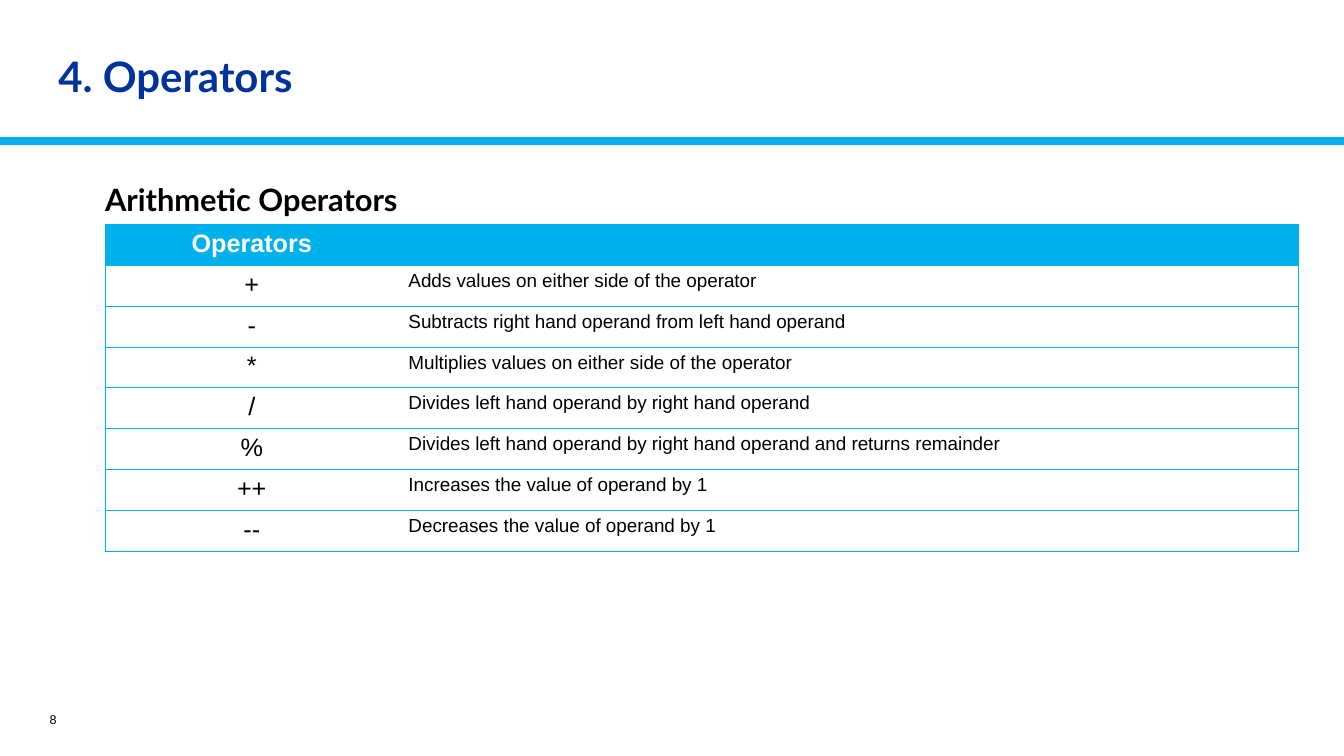
from lxml.etree import SubElement
from pptx import Presentation
from pptx.dml.color import RGBColor
from pptx.enum.shapes import MSO_CONNECTOR
from pptx.enum.text import MSO_ANCHOR, PP_ALIGN
from pptx.oxml import parse_xml
from pptx.oxml.ns import nsdecls, qn
from pptx.util import Cm, Pt

BLUE, NAVY, BLACK, WHITE = "00B0EA", "003399", "000000", "FFFFFF"
ROWS = [
    ("Operators", ""),
    ("+", "Adds values on either side of the operator"),
    ("-", "Subtracts right hand operand from left hand operand"),
    ("*", "Multiplies values on either side of the operator"),
    ("/", "Divides left hand operand by right hand operand"),
    ("%", "Divides left hand operand by right hand operand and returns remainder"),
    ("++", "Increases the value of operand by 1"),
    ("--", "Decreases the value of operand by 1"),
]


def color(code):
    """Turn a hex string into a colour."""
    return RGBColor.from_string(code)


def style(para, size, face, code, bold=False, align=PP_ALIGN.LEFT):
    """Format a paragraph and its runs."""
    para.alignment = align
    for run in para.runs:
        font = run.font
        font.size, font.name, font.bold = Pt(size), face, bold
        font.color.rgb = color(code)


def label(slide, box, text, anchor, *look):
    """Place one line of text in a box and return its paragraph."""
    frame = slide.shapes.add_textbox(*map(Cm, box)).text_frame
    frame.word_wrap = True
    frame.vertical_anchor = anchor
    frame.text = text
    para = frame.paragraphs[0]
    style(para, *look)
    return para


def header(slide, box):
    """Draw the title and the rule along the foot of the box."""
    left, top, width, height = box
    place = (left + 1.22, top + 0.93, 22.91, 2.11)
    para = label(slide, place, "4. Operators", MSO_ANCHOR.MIDDLE, 30, "Lato", NAVY, True)
    para.line_spacing = 0.9
    foot = Cm(top + height)
    rule = slide.shapes.add_connector(
        MSO_CONNECTOR.STRAIGHT, Cm(left), foot, Cm(left + width), foot)
    rule.line.color.rgb = color(BLUE)
    rule.line.width = Pt(6)
    SubElement(rule._element.spPr, qn("a:effectLst"))


def border(cell, sides):
    """Draw blue borders on the given sides and clear the others."""
    props = cell._tc.get_or_add_tcPr()
    for spot, side in enumerate("LRTB"):
        paint = f'<a:solidFill><a:srgbClr val="{BLUE}"/></a:solidFill>'
        if side not in sides:
            paint = "<a:noFill/>"
        props.insert(spot, parse_xml(
            f'<a:ln{side} {nsdecls("a")} w="{Pt(0.5)}">{paint}</a:ln{side}>'))


def grid(slide, box):
    """Fill the box with the table of operators."""
    left, top, width, height = box
    table = slide.shapes.add_table(len(ROWS), 2, *map(Cm, box)).table
    table.horz_banding = False
    first = 7.39
    table.columns[0].width = Cm(first)
    table.columns[1].width = Cm(width - first)
    for i, row in enumerate(ROWS):
        table.rows[i].height = Cm(height / len(ROWS))
        for j, text in enumerate(row):
            cell = table.cell(i, j)
            cell.text = text
            cell.fill.solid()
            cell.fill.fore_color.rgb = color(WHITE if i else BLUE)
            border(cell, "RTB" if j else "LTB")
            style(cell.text_frame.paragraphs[0], 13.5 if j else 18, "Arial",
                  BLACK if i else WHITE, i == 0,
                  PP_ALIGN.LEFT if j else PP_ALIGN.CENTER)


def body(slide, box):
    """Place the subheading with the table below it."""
    left, top, width, height = box
    label(slide, (left - 0.25, top, width, 1.2), "Arithmetic Operators",
          MSO_ANCHOR.TOP, 22, "Lato", BLACK, True)
    grid(slide, (left, top + 1.22, width, height - 1.22))


def footer(slide, box):
    """Place the slide number in the box."""
    label(slide, box, "8", MSO_ANCHOR.MIDDLE, 9, "Arial", BLACK, False, PP_ALIGN.RIGHT)


def main():
    """Build and save the slide."""
    deck = Presentation()
    deck.slide_width, deck.slide_height = Cm(33.87), Cm(19.05)
    slide = deck.slides.add_slide(deck.slide_layouts[6])
    header(slide, (0, 0, 33.87, 3.56))
    body(slide, (2.65, 4.44, 30.07, 9.45))
    footer(slide, (0.23, 17.75, 1.45, 0.76))
    deck.save("out.pptx")


if __name__ == "__main__":
    main()
